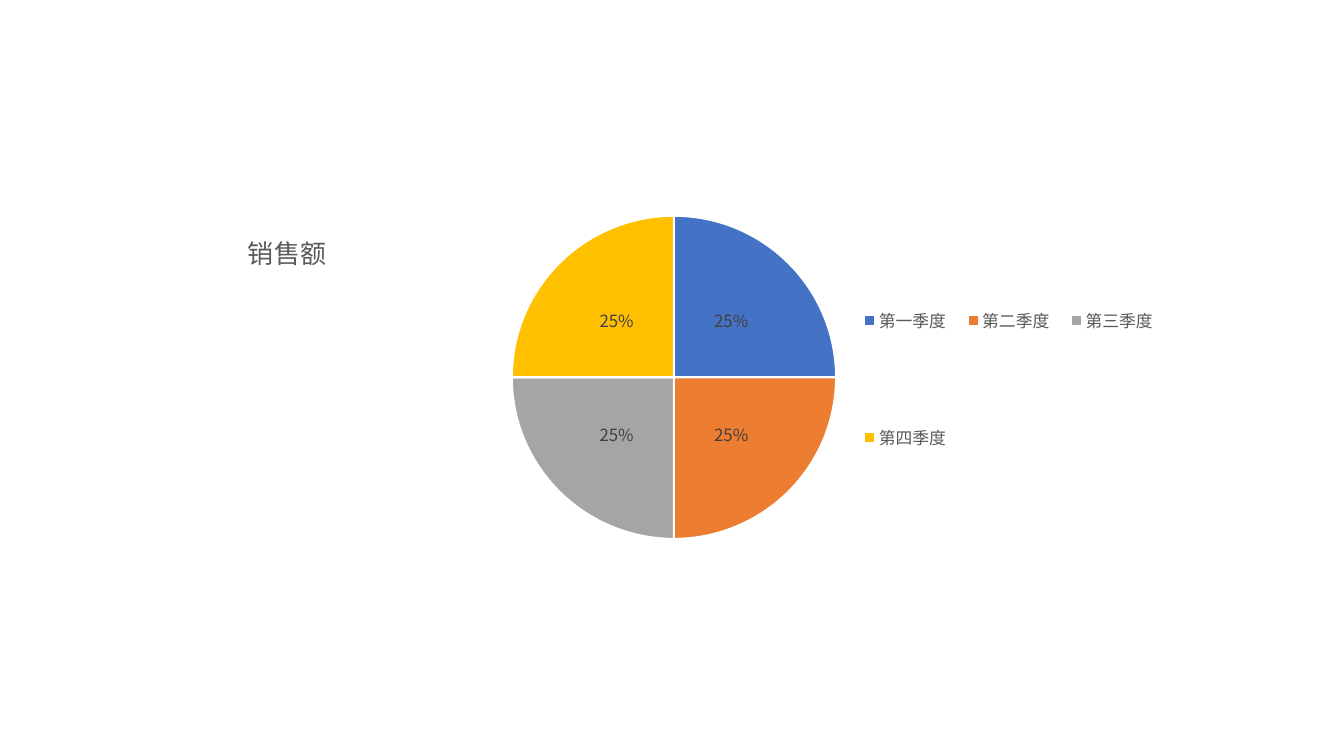
from dataclasses import dataclass
from typing import Optional

from lxml import etree
from pptx import Presentation
from pptx.chart.chart import Chart
from pptx.chart.data import CategoryChartData
from pptx.dml.color import RGBColor
from pptx.enum.chart import XL_CHART_TYPE as ChartType
from pptx.enum.chart import XL_LABEL_POSITION as LabelPos
from pptx.enum.chart import XL_LEGEND_POSITION as LegendPos
from pptx.oxml.ns import qn
from pptx.text.text import Font
from pptx.util import Inches, Pt

FONT = "Noto Sans CJK SC"
TITLE = "销售额"


@dataclass
class Quarter:
    name: str
    share: int
    color: str


@dataclass
class Layout:
    tag: str
    index: int
    x: float
    y: float
    w: Optional[float] = None
    h: Optional[float] = None
    target: Optional[str] = None


QUARTERS = [
    Quarter("第一季度", 25, "4472C4"),
    Quarter("第二季度", 25, "ED7D31"),
    Quarter("第三季度", 25, "A5A5A5"),
    Quarter("第四季度", 25, "FFC000"),
]

# Places of the chart parts as fractions of the chart frame
LAYOUTS = [
    Layout("c:title", 1, 0.076, 0.03),
    Layout("c:plotArea", 0, 0.292, 0, 0.421, 0.99, "inner"),
    Layout("c:legend", 1, 0.675, 0, 0.318, 1),
]


def rgb(color: str) -> RGBColor:
    return RGBColor.from_string(color)


def set_font(font: Font, size: float, color: str) -> None:
    for key, value in {"name": FONT, "size": Pt(size), "bold": False}.items():
        setattr(font, key, value)
    font.color.rgb = rgb(color)


def place(chart: Chart, layout: Layout) -> None:
    part = chart.element.find(".//" + qn(layout.tag))
    for old in part.findall(qn("c:layout")):
        part.remove(old)
    box = etree.Element(qn("c:layout"))
    part.insert(layout.index, box)
    manual = etree.SubElement(box, qn("c:manualLayout"))
    values = {
        "layoutTarget": layout.target, "xMode": "edge", "yMode": "edge",
        "x": layout.x, "y": layout.y, "w": layout.w, "h": layout.h,
    }
    for key, value in values.items():
        if value is not None:
            etree.SubElement(manual, qn(f"c:{key}"), val=str(value))


def add_sales_pie(slide) -> None:
    data = CategoryChartData()
    data.categories = [q.name for q in QUARTERS]
    data.add_series(TITLE, [q.share for q in QUARTERS])
    frame = slide.shapes.add_chart(
        ChartType.PIE, Inches(1.65), Inches(2.13), Inches(10.02), Inches(3.25), data)
    chart = frame.chart
    set_font(chart.font, 10, "000000")

    # Title
    p = chart.chart_title.text_frame.paragraphs[0]
    r = p.add_run()
    r.text = TITLE
    set_font(r.font, 18.6, "595959")

    # Legend
    chart.has_legend = True
    chart.legend.position = LegendPos.CORNER
    chart.legend.include_in_layout = False
    set_font(chart.legend.font, 12, "595959")

    # Slices
    plot = chart.plots[0]
    plot.vary_by_categories = True
    series = plot.series[0]
    for i, quarter in enumerate(QUARTERS):
        fmt = series.points[i].format
        fmt.fill.solid()
        fmt.fill.fore_color.rgb = rgb(quarter.color)
        fmt.line.color.rgb = rgb("FFFFFF")
        fmt.line.width = Pt(1.5)

    # Percent labels
    labels = series.data_labels
    options = {
        "show_percentage": True, "show_value": False, "number_format": "0%",
        "number_format_is_linked": False, "position": LabelPos.CENTER,
    }
    for key, value in options.items():
        setattr(labels, key, value)
    set_font(labels.font, 12, "404040")

    for layout in LAYOUTS:
        place(chart, layout)

    # The same typeface for Chinese characters
    for latin in list(chart.element.iter(qn("a:latin"))):
        latin.addnext(etree.Element(qn("a:ea"), typeface=FONT))


def main() -> None:
    prs = Presentation()
    prs.slide_width, prs.slide_height = Inches(13.33), Inches(7.5)
    s = prs.slides.add_slide(prs.slide_layouts[6])
    add_sales_pie(s)
    prs.save("out.pptx")


if __name__ == "__main__":
    main()
